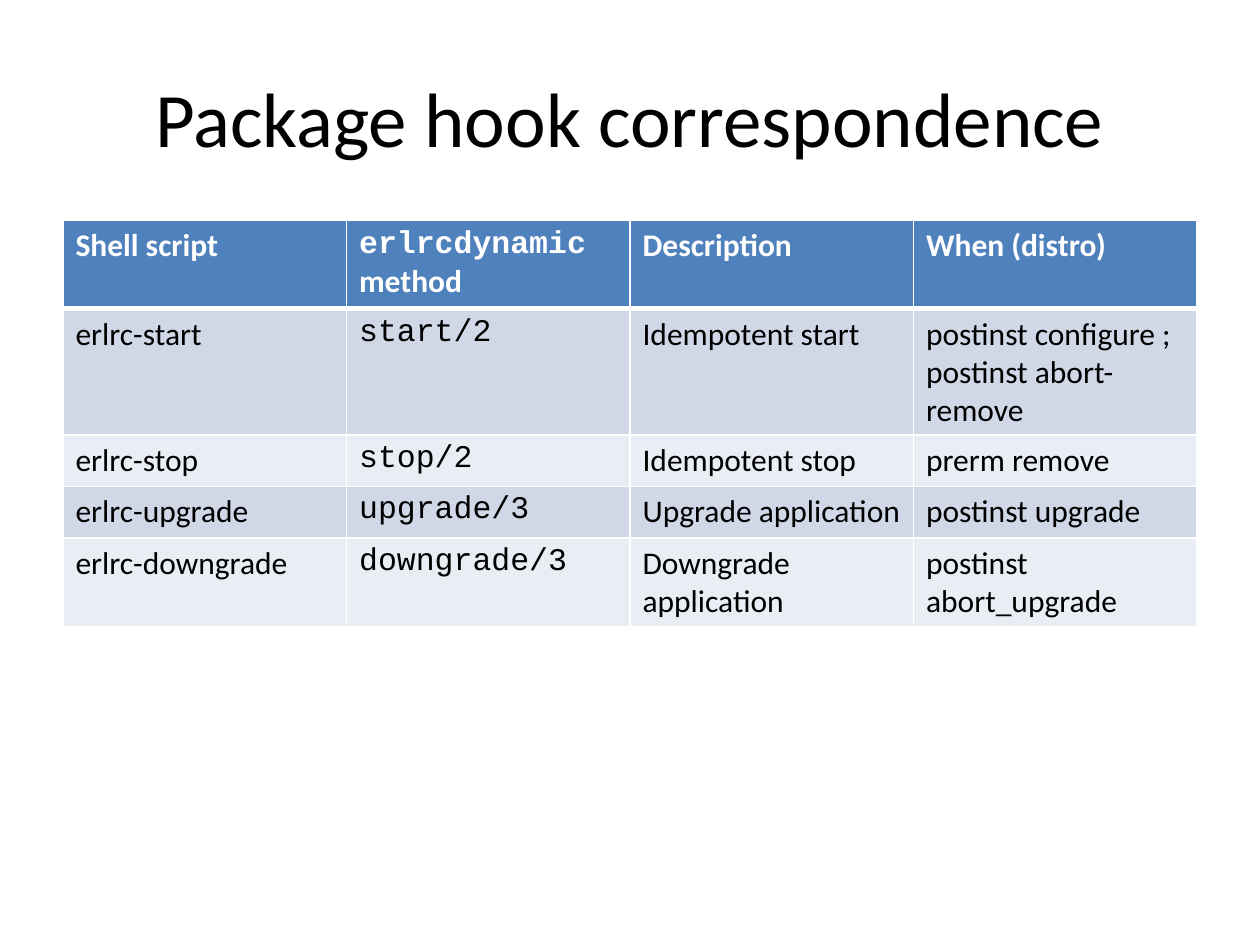
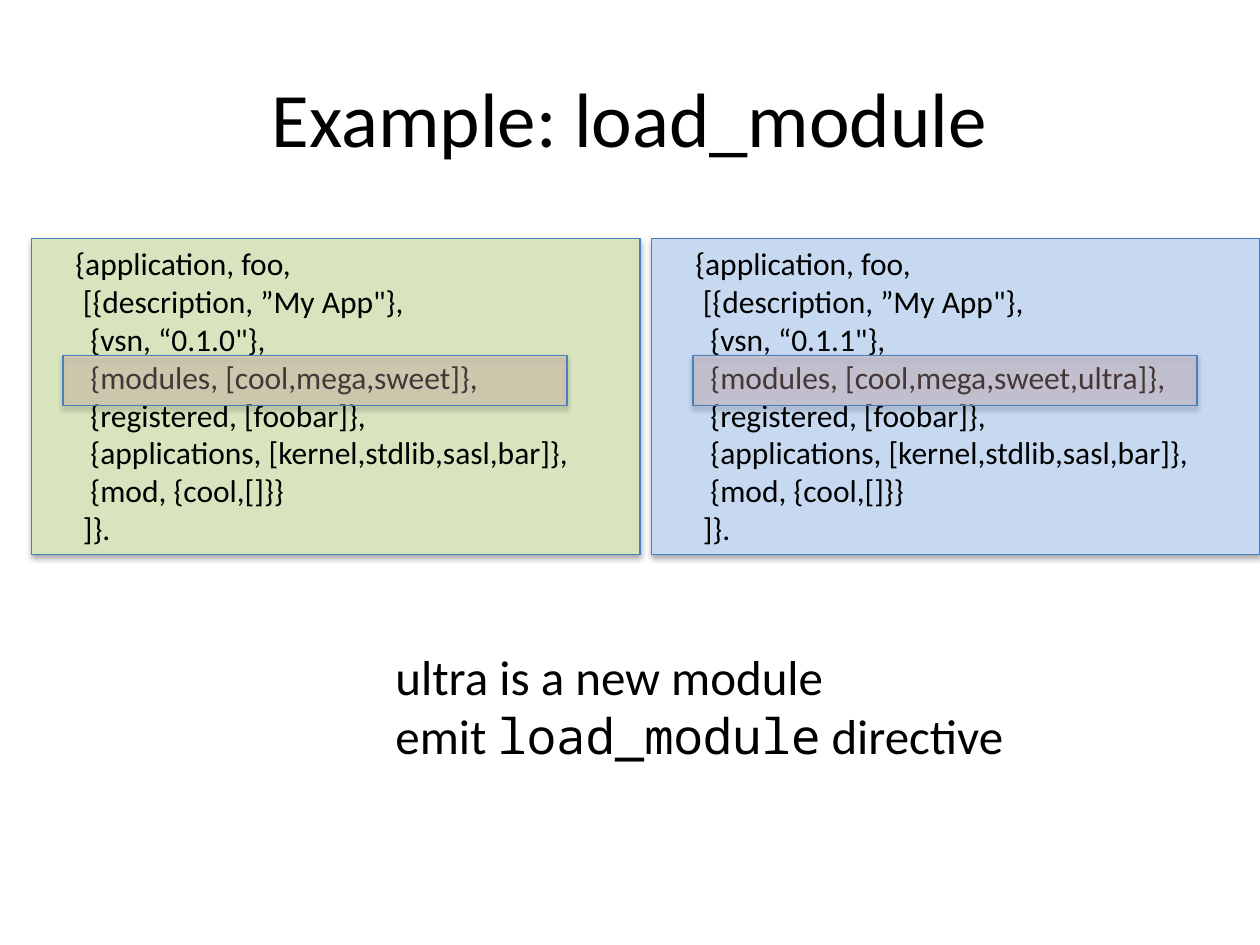
from dataclasses import dataclass
from typing import Any

from lxml.etree import SubElement as Sub
from pptx import Presentation
from pptx.dml.color import RGBColor as Color
from pptx.enum.shapes import MSO_SHAPE as Kind
from pptx.enum.text import MSO_ANCHOR as Anchor, PP_ALIGN as Align
from pptx.oxml.ns import qn
from pptx.util import Inches, Pt


@dataclass(frozen=True)
class Theme:
    ink: str = "000000"
    white: str = "FFFFFF"
    head: str = "4F81BD"
    bands: tuple[str, str] = ("D0D8E8", "E9EDF4")
    green: str = "D7E4BD"
    blue: str = "C6D9F1"
    pink: str = "E6B9B8"
    edge: str = "4B7EBC"
    font: str = "Calibri"
    code: str = "Courier New"
    mono: str = "Noto Sans Mono"
    title: int = 44
    note: int = 28
    body: int = 18


@dataclass(frozen=True)
class Box:
    left: float
    top: float
    width: float
    height: float

    def place(self) -> tuple[Inches, ...]:
        return tuple(Inches(n) for n in (self.left, self.top, self.width, self.height))


@dataclass(frozen=True)
class Panel:
    left: float
    mark: float
    fill: str
    version: str
    names: str


THEME = Theme()
INDENT = 0.06

ROWS = (
    ("Shell script", "`erlrcdynamic `method", "Description", "When (distro)"),
    ("erlrc-start", "`start/2`", "Idempotent start",
     "postinst configure ; postinst abort-remove"),
    ("erlrc-stop", "`stop/2`", "Idempotent stop", "prerm remove"),
    ("erlrc-upgrade", "`upgrade/3`", "Upgrade application", "postinst upgrade"),
    ("erlrc-downgrade", "`downgrade/3`", "Downgrade application",
     "postinst abort_upgrade"),
)

PANELS = (
    Panel(0.25, 0.5, THEME.green, "0.1.0", "cool,mega,sweet"),
    Panel(5.17, 5.5, THEME.blue, "0.1.1", "cool,mega,sweet,ultra"),
)


def write(frame: Any, text: str, *, size: int = THEME.body, color: str = THEME.ink,
          bold: bool = False, mono: str = THEME.code, align: Any = Align.LEFT) -> None:
    frame.word_wrap = True
    for row, line in enumerate(text.split("\n")):
        para = frame.add_paragraph() if row else frame.paragraphs[0]
        para.alignment = align
        bare = line.lstrip()
        depth = len(line) - len(bare)
        if depth:
            props = para._p.get_or_add_pPr()
            props.set("marL", str(Inches(depth * INDENT)))
            props.set("indent", "0")
        for spot, chunk in enumerate(bare.split("`")):
            if chunk:
                run = para.add_run()
                run.text = chunk
                run.font.name = mono if spot % 2 else THEME.font
                run.font.size = Pt(size)
                run.font.bold = bold
                run.font.color.rgb = Color.from_string(color)


def label(slide: Any, box: Box, text: str, anchor: Any = Anchor.TOP, **style: Any) -> None:
    frame = slide.shapes.add_textbox(*box.place()).text_frame
    frame.vertical_anchor = anchor
    write(frame, text, **style)


def start(deck: Any, title: str) -> Any:
    slide = deck.slides.add_slide(deck.slide_layouts[6])
    label(slide, Box(0.5, 0.3, 9, 1.25), title, Anchor.MIDDLE,
          size=THEME.title, align=Align.CENTER)
    return slide


def fade(tone: Any, alpha: int) -> None:
    Sub(tone, qn("a:alpha"), val=str(alpha * 1000))


def block(slide: Any, box: Box, fill: str, alpha: int = 100) -> None:
    shape = slide.shapes.add_shape(Kind.RECTANGLE, *box.place())
    shape.shadow.inherit = False
    shape.fill.solid()
    shape.fill.fore_color.rgb = Color.from_string(fill)
    shape.line.color.rgb = Color.from_string(THEME.edge)
    shape.line.width = Pt(0.75)
    props = shape._element.spPr
    if alpha < 100:
        fade(props.find(qn("a:solidFill")).find(qn("a:srgbClr")), alpha)
    shade = Sub(props.find(qn("a:effectLst")), qn("a:outerShdw"),
                blurRad=str(Pt(3.1)), dist=str(Pt(1.8)), dir="5400000", rotWithShape="0")
    fade(Sub(shade, qn("a:srgbClr"), val=THEME.ink), 35)


def border(cell: Any, base: float) -> None:
    props = cell._tc.get_or_add_tcPr()
    for side, width in (("L", 1), ("R", 1), ("T", 1), ("B", base)):
        line = Sub(props, qn(f"a:ln{side}"), w=str(Pt(width)))
        Sub(Sub(line, qn("a:solidFill")), qn("a:srgbClr"), val=THEME.white)


def grid(slide: Any, box: Box, rows: tuple[tuple[str, ...], ...]) -> None:
    table = slide.shapes.add_table(len(rows), len(rows[0]), *box.place()).table
    for y, row in enumerate(rows):
        head = y == 0
        for x, text in enumerate(row):
            cell = table.cell(y, x)
            border(cell, 3 if head else 1)
            cell.fill.solid()
            fill = THEME.head if head else THEME.bands[(y - 1) % 2]
            cell.fill.fore_color.rgb = Color.from_string(fill)
            write(cell.text_frame, text, bold=head,
                  color=THEME.white if head else THEME.ink)


def source(panel: Panel) -> str:
    return "\n".join((
        "{application, foo,",
        " [{description, ”My App\"},",
        f"  {{vsn, “{panel.version}\"}},",
        f"  {{modules, [{panel.names}]}},",
        "  {registered, [foobar]},",
        "  {applications, [kernel,stdlib,sasl,bar]},",
        "  {mod, {cool,[]}}",
        " ]}.",
    ))


def hooks(deck: Any) -> None:
    slide = start(deck, "Package hook correspondence")
    grid(slide, Box(0.5, 1.75, 9, 0.41 * len(ROWS)), ROWS)


def sample(deck: Any) -> None:
    slide = start(deck, "Example: load_module")
    for panel in PANELS:
        block(slide, Box(panel.left, 1.89, 4.83, 2.51), panel.fill)
        label(slide, Box(panel.left + 0.25, 1.89, 4.5, 2.83), source(panel))
    for panel in PANELS:
        block(slide, Box(panel.mark, 2.82, 4, 0.4), THEME.pink, 30)
    label(slide, Box(3.04, 5.08, 5.22, 1.04),
          "ultra is a new module\nemit `load_module` directive",
          size=THEME.note, mono=THEME.mono)


def main() -> None:
    deck = Presentation()
    deck.slide_width, deck.slide_height = Inches(10), Inches(7.5)
    hooks(deck)
    sample(deck)
    deck.save("out.pptx")


main()
